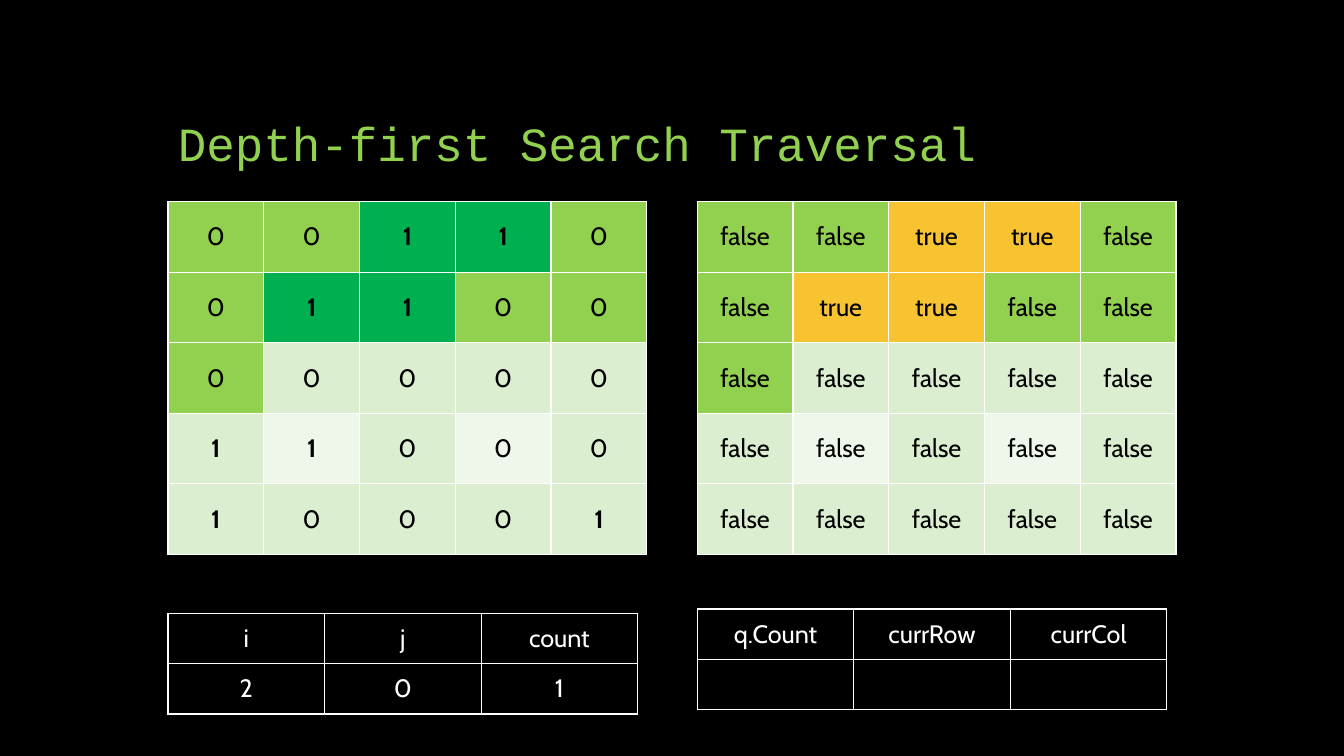
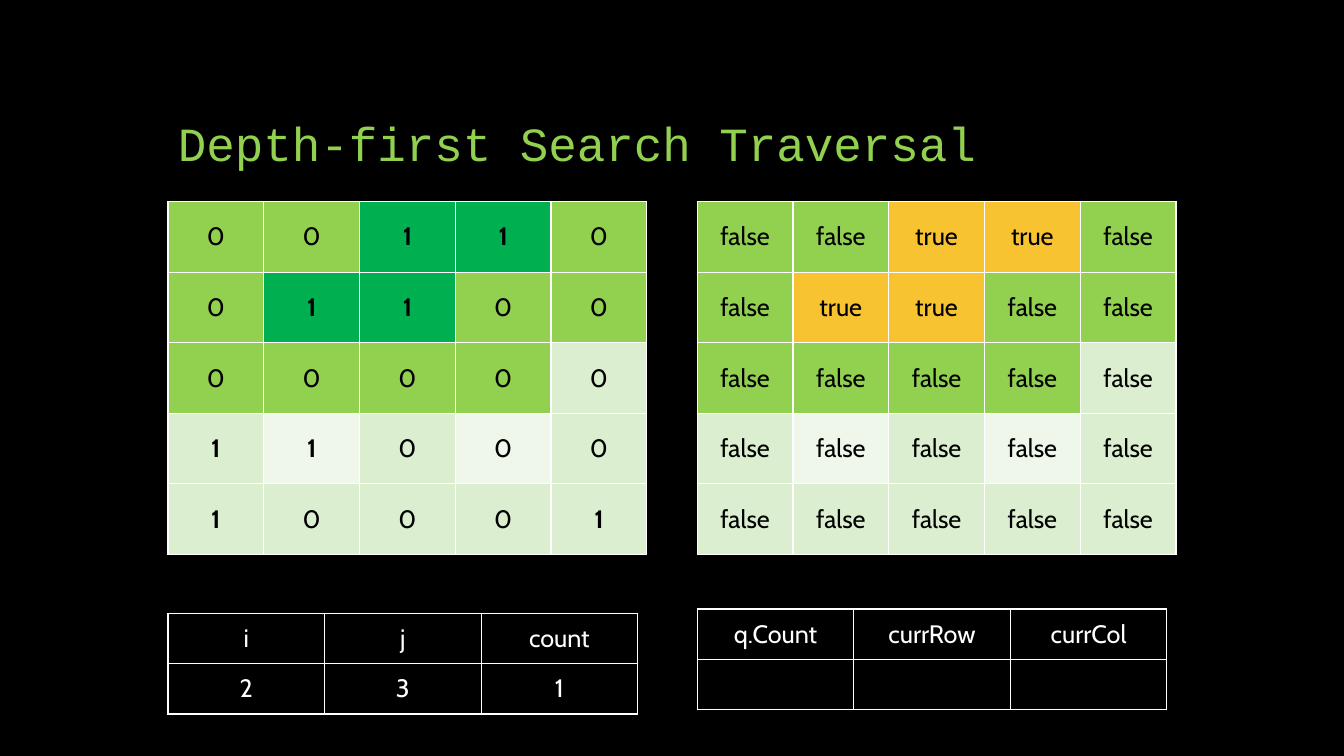
from dataclasses import dataclass

from lxml import etree
from pptx import Presentation
from pptx.dml import color
from pptx.enum import text
from pptx.oxml import ns
from pptx.util import Pt

# Shared style
BLACK, WHITE = "000000", "FFFFFF"
GREEN, ISLAND, VISITED = "92D050", "00B050", "F7C331"
PALE, PALEST = "DCEED0", "EEF7E9"
TITLE_FONT, BODY_FONT = "Courier New", "Cabin"
LEFT, RIGHT, GRID_TOP = 120, 498, 144

GRID = ["00110", "01100", "00000", "11000", "10001"]
SIZE = len(GRID)


@dataclass
class Cell:
    label: str
    ink: str = WHITE
    fill: str | None = None
    bold: bool = False


@dataclass
class Table:
    left: float
    top: float
    col_width: float
    row_height: float
    cells: list[list[Cell]]


@dataclass
class Step:
    i: int
    j: int


STEPS = [Step(2, 0), Step(2, 3)]


def rgb(value: str) -> color.RGBColor:
    return color.RGBColor.from_string(value)


def add_run(p, label: str, font: str, size: float, ink: str, bold: bool = False) -> None:
    r = p.add_run()
    r.text = label
    r.font.name, r.font.size, r.font.bold = font, Pt(size), bold
    r.font.color.rgb = rgb(ink)


def add_title(s, title: str) -> None:
    sp = s.shapes.add_textbox(Pt(LEFT), Pt(36), Pt(720), Pt(90))
    tf = sp.text_frame
    tf.word_wrap = True
    tf.vertical_anchor = text.MSO_ANCHOR.BOTTOM
    p = tf.paragraphs[0]
    p.line_spacing = 0.9
    add_run(p, title, TITLE_FONT, 34, GREEN)


def add_borders(cell, ink: str, width: float) -> None:
    props = cell._tc.get_or_add_tcPr()
    for side in "LRTB":
        line = etree.SubElement(props, ns.qn(f"a:ln{side}"), w=str(Pt(width)))
        solid = etree.SubElement(line, ns.qn("a:solidFill"))
        etree.SubElement(solid, ns.qn("a:srgbClr"), val=ink)


def add_table(s, spec_table: Table) -> None:
    t = spec_table
    rows, cols = len(t.cells), len(t.cells[0])
    table = s.shapes.add_table(rows, cols, Pt(t.left), Pt(t.top),
                               Pt(cols * t.col_width), Pt(rows * t.row_height)).table
    table.first_row = table.horz_banding = False
    for col in table.columns:
        col.width = Pt(t.col_width)
    for row, items in zip(table.rows, t.cells):
        row.height = Pt(t.row_height)
        for cell, item in zip(row.cells, items):
            add_borders(cell, WHITE, 1)
            if item.fill:
                cell.fill.solid()
                cell.fill.fore_color.rgb = rgb(item.fill)
            else:
                cell.fill.background()
            cell.vertical_anchor = text.MSO_ANCHOR.MIDDLE
            p = cell.text_frame.paragraphs[0]
            p.alignment = text.PP_ALIGN.CENTER
            if item.label:
                add_run(p, item.label, BODY_FONT, 18, item.ink, item.bold)


# State of the traversal at a step
def visit(row: int, col: int, seen: set[tuple[int, int]]) -> None:
    inside = 0 <= row < SIZE and 0 <= col < SIZE
    if not inside or GRID[row][col] == "0" or (row, col) in seen:
        return
    seen.add((row, col))
    for dr, dc in ((0, 1), (1, 0), (0, -1), (-1, 0)):
        visit(row + dr, col + dc, seen)


def traverse(step: Step) -> tuple[set[tuple[int, int]], int]:
    seen: set[tuple[int, int]] = set()
    count = 0
    for n in range(step.i * SIZE + step.j + 1):
        row, col = divmod(n, SIZE)
        if GRID[row][col] == "1" and (row, col) not in seen:
            visit(row, col, seen)
            count += 1
    return seen, count


def base_fill(row: int, col: int, step: Step) -> str:
    if (row, col) <= (step.i, step.j):
        return GREEN
    return PALEST if row % 2 and col % 2 else PALE


def grid_cells(step: Step, seen: set[tuple[int, int]], flags: bool) -> list[list[Cell]]:
    def make(row: int, col: int) -> Cell:
        found = (row, col) in seen
        label = str(found).lower() if flags else GRID[row][col]
        mark = VISITED if flags else ISLAND
        fill = mark if found else base_fill(row, col, step)
        return Cell(label, BLACK, fill, label == "1")

    return [[make(row, col) for col in range(SIZE)] for row in range(SIZE)]


def plain_cells(*rows: list[str]) -> list[list[Cell]]:
    return [[Cell(label) for label in row] for row in rows]


def add_step_slide(prs, step: Step) -> None:
    s = prs.slides.add_slide(prs.slide_layouts[6])
    s.background.fill.solid()
    s.background.fill.fore_color.rgb = rgb(BLACK)
    add_title(s, "Depth-first Search Traversal")
    seen, count = traverse(step)
    # Grid values and visited flags
    for left, flags in ((LEFT, False), (RIGHT, True)):
        add_table(s, Table(left, GRID_TOP, 68.4, 50.4, grid_cells(step, seen, flags)))
    # Loop counters and queue state
    counters = plain_cells(["i", "j", "count"], [str(step.i), str(step.j), str(count)])
    queue = plain_cells(["q.Count", "currRow", "currCol"], [""] * 3)
    for left, top, cells in ((LEFT, 438, counters), (RIGHT, 435, queue)):
        add_table(s, Table(left, top, 111.84, 36, cells))


def main() -> None:
    prs = Presentation()
    prs.slide_width, prs.slide_height = Pt(960), Pt(540)
    for step in STEPS:
        add_step_slide(prs, step)
    prs.save("out.pptx")


if __name__ == "__main__":
    main()
